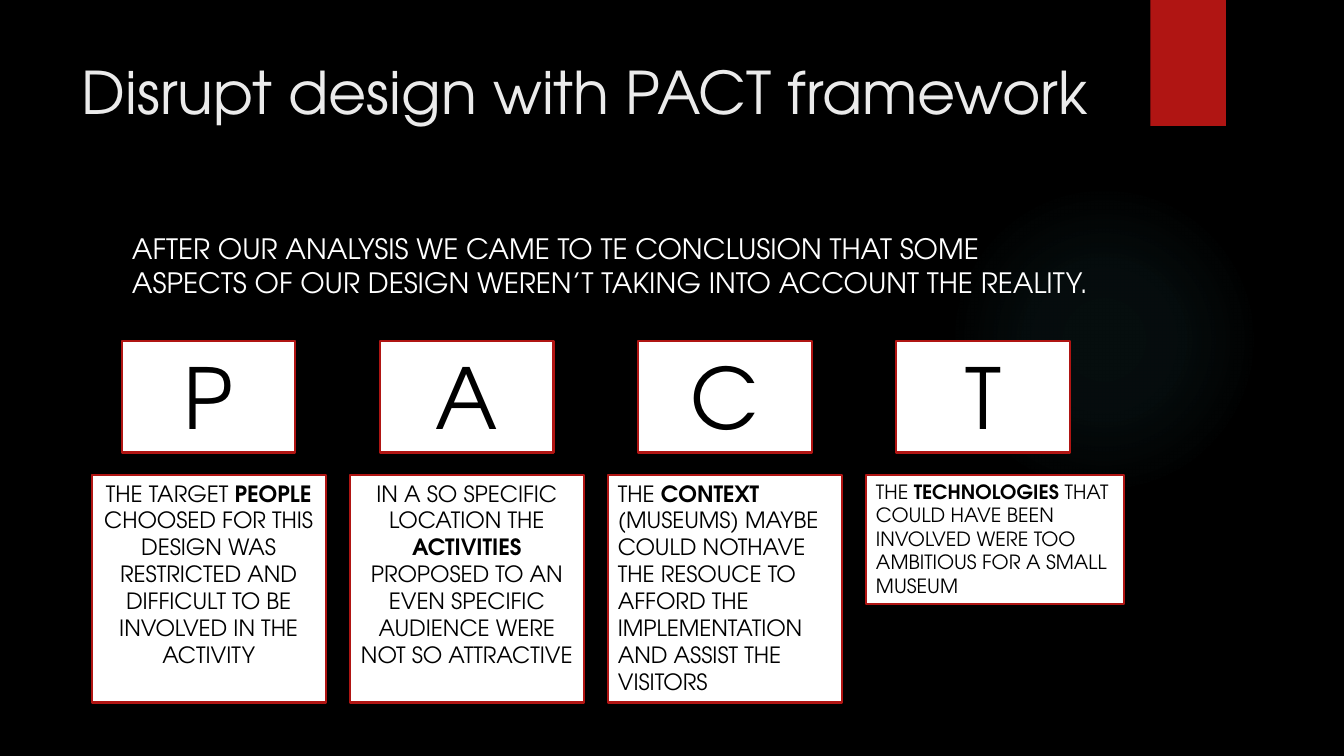
from lxml import etree
from pptx import Presentation
from pptx.dml.color import RGBColor
from pptx.enum.shapes import MSO_SHAPE as Shape
from pptx.enum.text import MSO_ANCHOR as Anchor, MSO_AUTO_SIZE as AutoSize, PP_ALIGN as Align
from pptx.oxml import parse_xml
from pptx.util import Inches, Pt

TITLE = "Disrupt design with PACT framework"
INTRO = ("AFTER OUR ANALYSIS WE CAME TO TE CONCLUSION THAT SOME ASPECTS "
         "OF OUR DESIGN WEREN’T TAKING INTO ACCOUNT THE REALITY.")
# letter, (before, bold, after), type size, alignment, width, height
COLUMNS = [
    ("P", ("THE TARGET ", "PEOPLE ", "CHOOSED FOR THIS DESIGN WAS RESTRICTED AND "
           "DIFFICULT TO BE INVOLVED IN THE ACTIVITY"), 16, Align.CENTER, 2.32, 2.26),
    ("A", ("IN A SO SPECIFIC LOCATION THE ", "ACTIVITIES", " PROPOSED TO AN EVEN "
           "SPECIFIC AUDIENCE WERE NOT SO ATTRACTIVE"), 16, Align.CENTER, 2.32, 2.26),
    ("C", ("THE ", "CONTEXT", " (MUSEUMS) MAYBE COULD NOTHAVE THE RESOUCE TO AFFORD "
           "THE IMPLEMENTATION AND ASSIST THE VISITORS"), 16, Align.LEFT, 2.32, 2.26),
    ("T", ("THE ", "TECHNOLOGIES", " THAT COULD HAVE BEEN INVOLVED WERE TOO AMBITIOUS "
           "FOR A SMALL MUSEUM"), 14, Align.LEFT, 2.56, 1.28),
]

COLUMN_STEP = 2.56
LETTER_LEFT, LETTER_TOP, LETTER_WIDTH, LETTER_HEIGHT = 1.21, 3.38, 1.72, 1.11
DETAIL_LEFT, DETAIL_TOP = 0.91, 4.71


class Theme:
    font = "TeX Gyre Adventor"
    black = RGBColor.from_string("000000")
    white = RGBColor.from_string("FFFFFF")
    red = RGBColor.from_string("B01513")
    title = RGBColor.from_string("EBEBEB")
    glow = "50B9C1"
    glow_stops = [(0, 7), (36, 6), (69, 0)]  # position and opacity, percent
    title_size, intro_size, letter_size = 42, 20, 60
    outline = 1.5


def style(para, size, color, align=Align.LEFT):
    para.alignment = align
    para.font.name, para.font.size = Theme.font, Pt(size)
    para.font.color.rgb = color


def add_plain(page, kind, left, top, width, height, color):
    shape = page.shapes.add_shape(kind, *map(Inches, (left, top, width, height)))
    shape.shadow.inherit = False
    shape.fill.solid()
    shape.fill.fore_color.rgb = color
    shape.line.fill.background()
    return shape


def add_glow(page):
    """Faint round light that fades out from its centre."""
    glow = add_plain(page, Shape.OVAL, 9.41, 1.83, 3.08, 3.08, Theme.black)
    stops = "".join(
        f'<a:gs pos="{place * 1000}"><a:srgbClr val="{Theme.glow}">'
        f'<a:alpha val="{opacity * 1000}"/></a:srgbClr></a:gs>'
        for place, opacity in Theme.glow_stops)
    gradient = parse_xml(
        '<a:gradFill xmlns:a="http://schemas.openxmlformats.org/drawingml/2006/main">'
        f'<a:gsLst>{stops}</a:gsLst><a:path path="circle">'
        '<a:fillToRect l="50000" t="50000" r="50000" b="50000"/></a:path></a:gradFill>')
    solid = glow._element.spPr.find("{*}solidFill")
    solid.getparent().replace(solid, gradient)


def add_card(page, left, top, width, height, spans, size, align):
    """White card with a red outline; every second span is bold."""
    card = add_plain(page, Shape.RECTANGLE, left, top, width, height, Theme.white)
    card.line.color.rgb = Theme.red
    card.line.width = Pt(Theme.outline)
    frame = card.text_frame
    frame.word_wrap, frame.vertical_anchor = True, Anchor.TOP
    frame.auto_size = AutoSize.SHAPE_TO_FIT_TEXT
    para = frame.paragraphs[0]
    style(para, size, Theme.black, align)
    for index, words in enumerate(spans):
        span = para.add_run()
        span.text = words
        if index % 2:
            span.font.bold = True


def set_text(box, words, size, color):
    frame = box.text_frame
    frame.text = words
    frame.word_wrap, frame.vertical_anchor = True, Anchor.TOP
    frame.auto_size = AutoSize.NONE
    style(frame.paragraphs[0], size, color)


def main():
    deck = Presentation()
    deck.slide_width, deck.slide_height = Inches(13.33), Inches(7.5)
    page = deck.slides.add_slide(deck.slide_layouts[5])
    page.background.fill.solid()
    page.background.fill.fore_color.rgb = Theme.black

    add_glow(page)
    add_plain(page, Shape.RECTANGLE, 11.41, 0, 0.75, 1.25, Theme.red)

    title = page.shapes.title
    title.left, title.top, title.width, title.height = map(Inches, (0.71, 0.5, 11.79, 1.53))
    set_text(title, TITLE, Theme.title_size, Theme.title)
    intro = page.shapes.add_textbox(*map(Inches, (1.21, 2.25, 9.78, 0.92)))
    set_text(intro, INTRO, Theme.intro_size, Theme.white)

    for index, (letter, spans, size, align, width, height) in enumerate(COLUMNS):
        shift = index * COLUMN_STEP
        add_card(page, LETTER_LEFT + shift, LETTER_TOP, LETTER_WIDTH, LETTER_HEIGHT,
                 [letter], Theme.letter_size, Align.CENTER)
        add_card(page, DETAIL_LEFT + shift, DETAIL_TOP, width, height, spans, size, align)

    deck.save("out.pptx")


if __name__ == "__main__":
    main()
